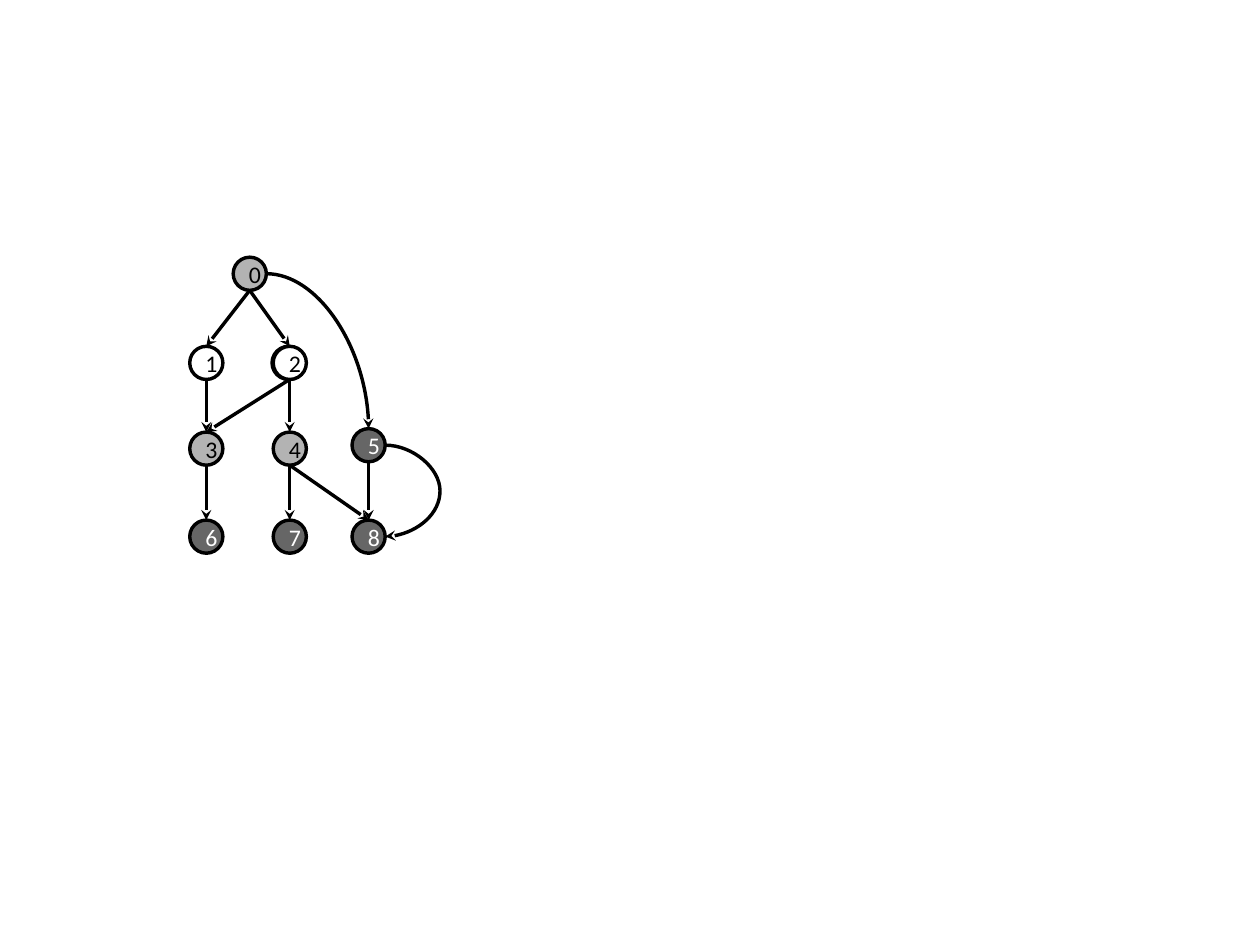
import pptx
import pptx.dml.color
import pptx.enum.shapes
import pptx.enum.text
import pptx.oxml
import pptx.oxml.ns
import pptx.util
from dataclasses import dataclass

Inches = pptx.util.Inches


@dataclass(frozen=True)
class Theme:
    font: str = "Calibri"
    text_size: float = 15
    line_width: float = 2.15
    black: str = "000000"
    white: str = "FFFFFF"
    light: str = "B3B3B3"
    dark: str = "666666"
    diameter: float = 0.29


def color(value):
    return pptx.dml.color.RGBColor.from_string(value)


def write_text(shape, text, *, font, size, fill):
    frame = shape.text_frame
    frame.word_wrap = True
    frame.vertical_anchor = pptx.enum.text.MSO_ANCHOR.MIDDLE
    frame.margin_left = frame.margin_right = Inches(0.11)
    frame.margin_top = frame.margin_bottom = Inches(0.06)
    paragraph = frame.paragraphs[0]
    paragraph.alignment = pptx.enum.text.PP_ALIGN.CENTER
    run = paragraph.add_run()
    run.text = text
    run.font.name = font
    run.font.size = pptx.util.Pt(size)
    run.font.color.rgb = color(fill)


class GraphSlide:
    def __init__(self, slide, theme):
        self.slide = slide
        self.theme = theme

    def stroke(self, line):
        line.color.rgb = color(self.theme.black)
        line.width = pptx.util.Pt(self.theme.line_width)

    def node(self, left, top, fill, label=""):
        theme = self.theme
        shape = self.slide.shapes.add_shape(
            pptx.enum.shapes.MSO_SHAPE.OVAL, Inches(left), Inches(top),
            Inches(theme.diameter), Inches(theme.diameter))
        shape.shadow.inherit = False
        shape.fill.solid()
        shape.fill.fore_color.rgb = color(fill)
        self.stroke(shape.line)
        if label:
            text_color = theme.white if fill == theme.dark else theme.black
            write_text(shape, label, font=theme.font, size=theme.text_size, fill=text_color)

    def edge(self, start, end, kind="STRAIGHT"):
        connector = self.slide.shapes.add_connector(
            pptx.enum.shapes.MSO_CONNECTOR[kind], *map(Inches, (*start, *end)))
        self.stroke(connector.line)
        properties = connector._element.spPr
        arrow = pptx.oxml.parse_xml(f'<a:tailEnd {pptx.oxml.ns.nsdecls("a")} type="stealth"/>')
        properties.find(pptx.oxml.ns.qn("a:ln")).append(arrow)
        properties.append(pptx.oxml.parse_xml(f'<a:effectLst {pptx.oxml.ns.nsdecls("a")}/>'))
        return connector

    def quarter_curve(self, start, end):
        connector = self.edge(start, end, "CURVE")
        connector._element.spPr.find(pptx.oxml.ns.qn("a:prstGeom")).set("prst", "curvedConnector2")

    def side_loop(self, start, end, bulge):
        connector = self.edge(start, end, "CURVE")
        # The bulge is a multiple of the width, so the width must not be zero
        connector.width = pptx.util.Emu(360)
        ratio = round(Inches(bulge) / connector.width * 100000)
        geometry = connector._element.spPr.find(pptx.oxml.ns.qn("a:prstGeom"))
        guides = geometry.get_or_add_avLst()
        guides.append(pptx.oxml.parse_xml(
            f'<a:gd {pptx.oxml.ns.nsdecls("a")} name="adj1" fmla="val {ratio}"/>'))


def main():
    # The page is 28 by 21 centimetres
    presentation = pptx.Presentation()
    presentation.slide_width = Inches(28 / 2.54)
    presentation.slide_height = Inches(21 / 2.54)
    theme = Theme()
    graph = GraphSlide(presentation.slides.add_slide(presentation.slide_layouts[6]), theme)

    # Nodes: left, top, fill; the index is the label
    left, middle, right = 1.66, 2.39, 3.08
    second, third, fourth = 3.03, 3.78, 4.55
    nodes = [
        (2.04, 2.25, theme.light),
        (left, second, theme.white), (middle, second, theme.white),
        (left, third, theme.light), (middle, third, theme.light), (right, 3.75, theme.dark),
        (left, fourth, theme.dark), (middle, fourth, theme.dark), (right, fourth, theme.dark),
    ]
    graph.node(2.38, second, theme.white)
    for number, (x, y, fill) in enumerate(nodes):
        graph.node(x, y, fill, str(number))

    # Points on a node's outline, as shares of its diameter
    def point(number, across, down):
        x, y, _ = nodes[number]
        return x + across * theme.diameter, y + down * theme.diameter

    # Straight edges run from bottom to top
    for parent, child in [(0, 1), (0, 2), (1, 3), (2, 3), (2, 4),
                          (3, 6), (4, 7), (4, 8), (5, 8)]:
        graph.edge(point(parent, 0.5, 1), point(child, 0.5, 0))

    # Curved edges leave from the right side
    graph.quarter_curve(point(0, 1, 0.5), point(5, 0.5, 0))
    graph.side_loop(point(5, 1, 0.5), point(8, 1, 0.5), bulge=0.24)

    presentation.save("out.pptx")


if __name__ == "__main__":
    main()
